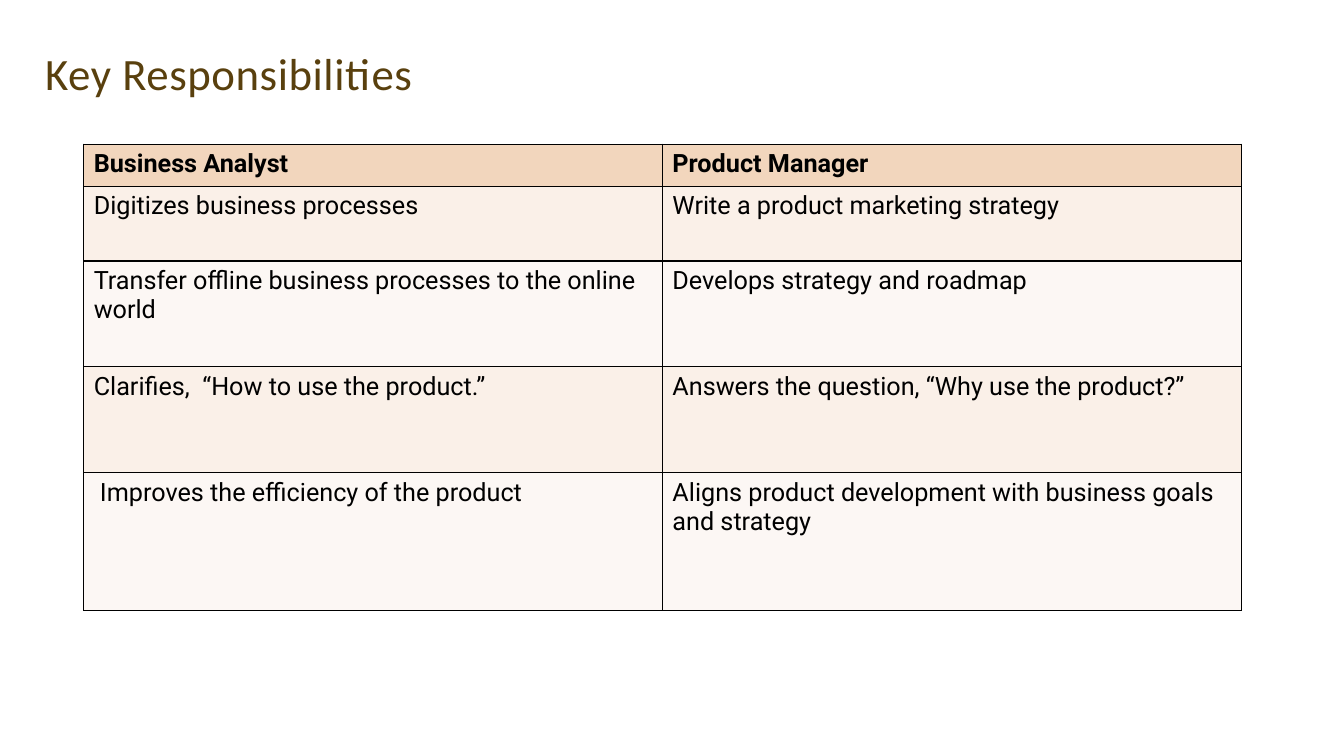
from lxml.etree import SubElement
from pptx import Presentation
from pptx.dml.color import RGBColor
from pptx.enum.text import MSO_ANCHOR
from pptx.oxml.ns import qn
from pptx.util import Inches, Pt

BROWN = RGBColor(0x59, 0x40, 0x0E)
BLACK = RGBColor(0x00, 0x00, 0x00)
HEADER_FILL = RGBColor(0xF2, 0xD6, 0xBD)
BAND_FILLS = (RGBColor(0xFC, 0xF7, 0xF4), RGBColor(0xFA, 0xF0, 0xE8))

RESPONSIBILITIES = [
    ("Business Analyst", "Product Manager"),
    ("Digitizes business processes", "Write a product marketing strategy"),
    ("Transfer offline business processes to the online world",
     "Develops strategy and roadmap"),
    ("Clarifies,  “How to use the product.”",
     "Answers the question, “Why use the product?”"),
    (" Improves the efficiency of the product",
     "Aligns product development with business goals and strategy"),
]
ROW_HEIGHTS = (0.42, 0.74, 1.05, 1.05, 1.37)
COLUMN_WIDTH = 5.74


def write_text(text_frame, text, *, size, font, color, bold=False,
               line_spacing=None, tracking=None):
    """Write one formatted paragraph into a text frame."""
    paragraph = text_frame.paragraphs[0]
    paragraph.line_spacing = line_spacing
    run = paragraph.add_run()
    run.text = text
    run.font.size = Pt(size)
    run.font.name = font
    run.font.bold = bold
    run.font.color.rgb = color
    if tracking:
        run.font._element.set("spc", str(round(tracking * 100)))


def add_title(slide, text):
    """Add the slide title."""
    box = slide.shapes.add_textbox(Inches(0.35), Inches(0.19),
                                   Inches(5.81), Inches(1.13))
    box.text_frame.word_wrap = True
    box.text_frame.vertical_anchor = MSO_ANCHOR.MIDDLE
    write_text(box.text_frame, text, size=32, font="Calibri", color=BROWN,
               line_spacing=0.9, tracking=0.4)


def add_borders(cell, color, width):
    """Draw a solid line on all four sides of a cell."""
    properties = cell._tc.get_or_add_tcPr()
    for side in ("lnL", "lnR", "lnT", "lnB"):
        line = SubElement(properties, qn(f"a:{side}"), w=str(Pt(width)))
        fill = SubElement(line, qn("a:solidFill"))
        SubElement(fill, qn("a:srgbClr"), val=str(color))


def add_responsibility_table(slide):
    """Add the table that compares the two roles."""
    column_count = len(RESPONSIBILITIES[0])
    table = slide.shapes.add_table(
        len(RESPONSIBILITIES), column_count, Inches(0.83), Inches(1.43),
        Inches(COLUMN_WIDTH * column_count), Inches(sum(ROW_HEIGHTS))).table
    for column in table.columns:
        column.width = Inches(COLUMN_WIDTH)
    for row_index, texts in enumerate(RESPONSIBILITIES):
        table.rows[row_index].height = Inches(ROW_HEIGHTS[row_index])
        is_header = row_index == 0
        for column_index, text in enumerate(texts):
            cell = table.cell(row_index, column_index)
            add_borders(cell, BLACK, 1)
            cell.fill.solid()
            cell.fill.fore_color.rgb = (
                HEADER_FILL if is_header else BAND_FILLS[row_index % 2])
            write_text(cell.text_frame, text, size=18, font="Roboto",
                       color=BLACK, bold=is_header)


def main():
    """Build and save the slide."""
    presentation = Presentation()
    presentation.slide_width = Inches(13.33)
    presentation.slide_height = Inches(7.5)
    slide = presentation.slides.add_slide(presentation.slide_layouts[6])
    add_title(slide, "Key Responsibilities")
    add_responsibility_table(slide)
    presentation.save("out.pptx")


if __name__ == "__main__":
    main()
